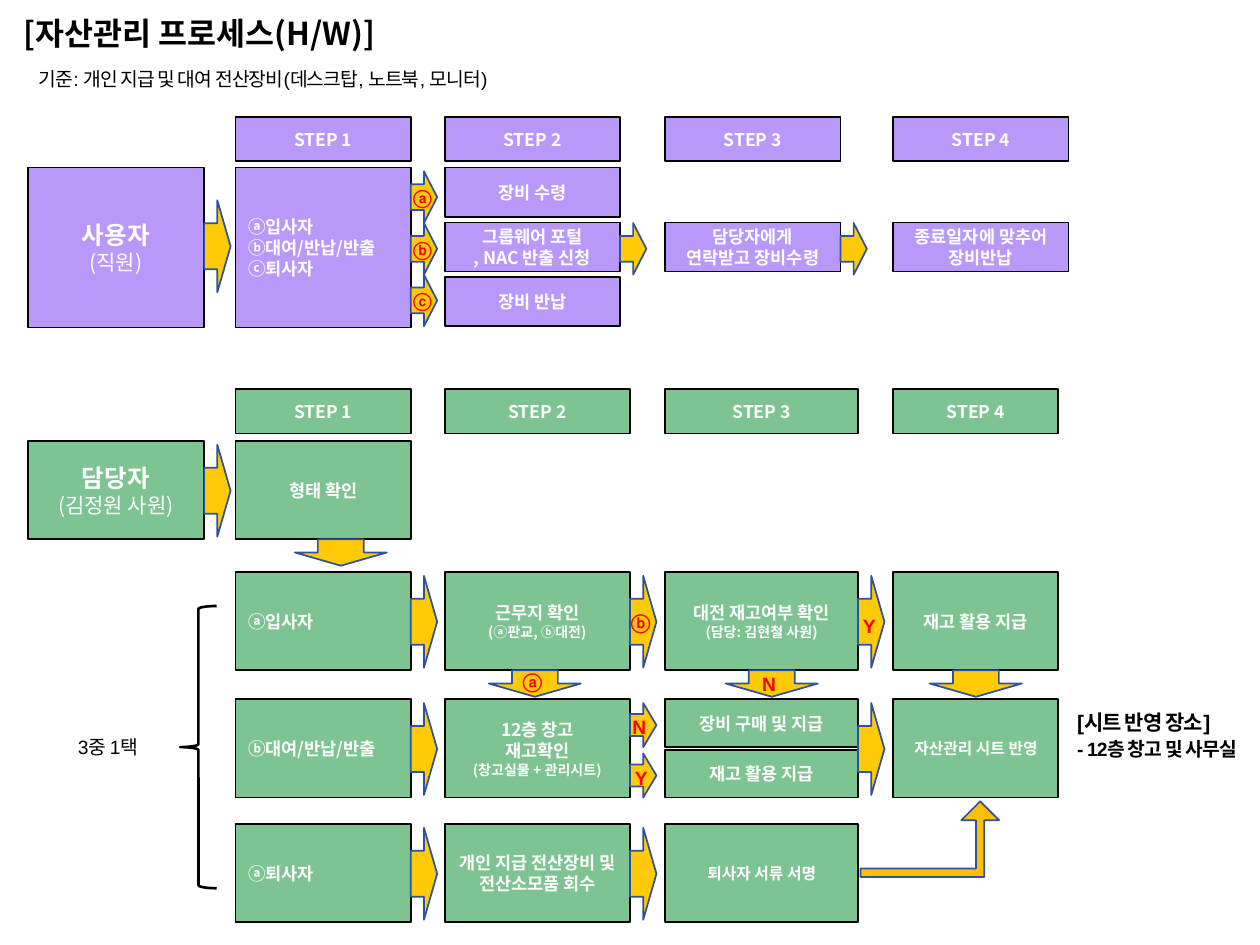
from pptx import Presentation
from pptx.dml.color import RGBColor
from pptx.enum.shapes import MSO_SHAPE as MS
from pptx.enum.text import MSO_ANCHOR as ANCHOR, MSO_AUTO_SIZE as FIT, PP_ALIGN as AL
from pptx.util import Inches, Pt
from lxml.etree import SubElement

CJK, LATIN = "Noto Sans CJK KR", "Arial"
PURPLE, GREEN, GOLD, NAVY = "B899FA", "7EC492", "FFCA08", "2F52A0"
hexc = RGBColor.from_string

# Grid in inches: column lefts, column widths per lane, row tops
X = [0.22, 1.87, 3.53, 5.28, 7.09]
W = {PURPLE: [1.4, 1.39, 1.39, 1.39, 1.39], GREEN: [1.4, 1.39, 1.47, 1.53, 1.31]}
HEAD = {PURPLE: 0.93, GREEN: 3.09}
USER = [1.33, 1.765, 2.2]
STAFF = [3.5, 4.54, 5.55, 6.54]
HEAD_H, USER_H, STAFF_H, HALF_H = 0.35, 0.39, 0.78, 0.38
GAP, ARROW_H = 0.21, 0.73

prs = Presentation()
prs.slide_width, prs.slide_height = Inches(10), Inches(7.5)
s = prs.slides.add_slide(prs.slide_layouts[6])


def write(sp, lines, font, color, align=AL.LEFT, spacing=None, spc=None):
    """Fill a shape with (text, size, bold) lines."""
    tf = sp.text_frame
    tf.word_wrap = True
    for i, (text, size, bold) in enumerate(lines):
        p = tf.paragraphs[0] if i == 0 else tf.add_paragraph()
        p.alignment = align
        if spacing:
            p.line_spacing = spacing
        r = p.add_run()
        r.text = text
        for key, value in {"name": font, "size": Pt(size), "bold": bold}.items():
            setattr(r.font, key, value)
        r.font.color.rgb = hexc(color)
        rpr = r.font._element
        ns = rpr.nsmap["a"]
        SubElement(rpr, f"{{{ns}}}ea", typeface=CJK)
        if spc:
            rpr.set("spc", str(spc))


def draw(kind, x, y, w, h, fill, line, width=1):
    sp = s.shapes.add_shape(kind, *map(Inches, (x, y, w, h)))
    sp.shadow.inherit = False
    if fill:
        sp.fill.solid()
        sp.fill.fore_color.rgb = hexc(fill)
    else:
        sp.fill.background()
    sp.line.color.rgb = hexc(line)
    sp.line.width = Pt(width)
    return sp


# Boxes: lane, column, top, height, alignment, lines
C, L = AL.CENTER, AL.LEFT
boxes = [(lane, n, HEAD[lane], HEAD_H, C, [(f"STEP {n}", 10, True)])
         for lane in (PURPLE, GREEN) for n in range(1, 5)]
boxes += [
    (PURPLE, 0, USER[0], 1.27, C, [("사용자", 14, True), ("(직원)", 12, False)]),
    (PURPLE, 1, USER[0], 1.27, L,
     [(t, 10, True) for t in ("ⓐ입사자", "ⓑ대여/반납/반출", "ⓒ퇴사자")]),
    (PURPLE, 2, USER[0], USER_H, C, [("장비 수령", 10, True)]),
    (PURPLE, 2, USER[1], USER_H, C, [("그룹웨어 포털", 10, True), (", NAC 반출 신청", 10, True)]),
    (PURPLE, 2, USER[2], USER_H, C, [("장비 반납", 10, True)]),
    (PURPLE, 3, USER[1], USER_H, C, [("담당자에게", 10, True), ("연락받고 장비수령", 10, True)]),
    (PURPLE, 4, USER[1], USER_H, C, [("종료일자에 맞추어 장비반납", 10, True)]),
    (GREEN, 0, STAFF[0], STAFF_H, C, [("담당자", 14, True), ("(김정원 사원)", 12, False)]),
    (GREEN, 1, STAFF[0], STAFF_H, C, [("형태 확인", 10, True)]),
    (GREEN, 1, STAFF[1], STAFF_H, L, [("ⓐ입사자", 10, True)]),
    (GREEN, 2, STAFF[1], STAFF_H, C, [("근무지 확인", 10, True), ("(ⓐ판교, ⓑ대전)", 8, True)]),
    (GREEN, 3, STAFF[1], STAFF_H, C, [("대전 재고여부 확인", 10, True), ("(담당: 김현철 사원)", 8, True)]),
    (GREEN, 4, STAFF[1], STAFF_H, C, [("재고 활용 지급", 10, True)]),
    (GREEN, 1, STAFF[2], STAFF_H, L, [("ⓑ대여/반납/반출", 10, True)]),
    (GREEN, 2, STAFF[2], STAFF_H, C,
     [("12층 창고", 10, True), ("재고확인", 10, True), ("(창고실물 + 관리시트)", 8, True)]),
    (GREEN, 3, STAFF[2], HALF_H, C, [("장비 구매 및 지급", 10, True)]),
    (GREEN, 3, STAFF[2] + 0.4, HALF_H, C, [("재고 활용 지급", 10, True)]),
    (GREEN, 4, STAFF[2], STAFF_H, C, [("자산관리 시트 반영", 9, True)]),
    (GREEN, 1, STAFF[3], STAFF_H, L, [("ⓐ퇴사자", 10, True)]),
    (GREEN, 2, STAFF[3], STAFF_H, C, [("개인 지급 전산장비 및 전산소모품 회수", 10, True)]),
    (GREEN, 3, STAFF[3], STAFF_H, C, [("퇴사자 서류 서명", 9, True)]),
]
for lane, col, top, height, align, lines in boxes:
    sp = draw(MS.RECTANGLE, X[col], top, W[lane][col], height, lane, "000000")
    sp.text_frame.vertical_anchor = ANCHOR.MIDDLE
    write(sp, lines, CJK, "FFFFFF", align)

# Arrows to the right: lane, column they leave, top, height
arrows = [(PURPLE, 0, 1.59, ARROW_H), (PURPLE, 2, 1.77, 0.41), (PURPLE, 3, 1.77, 0.41)]
arrows += [(PURPLE, 1, 1.36 + 0.41 * i, 0.41) for i in range(3)]
arrows += [(GREEN, col, STAFF[row] + 0.03, ARROW_H)
           for col, row in ((0, 0), (1, 1), (2, 1), (3, 1), (1, 2), (3, 2), (1, 3), (2, 3))]
arrows += [(GREEN, 2, top, 0.35) for top in (5.58, 5.98)]
for lane, col, top, height in arrows:
    draw(MS.RIGHT_ARROW, X[col] + W[lane][col], top, GAP, height, GOLD, NAVY)

# Arrows down to the next row
for x, top in ((2.6, 4.02), (4.14, 5.06), (6.02, 5.06), (7.64, 5.06)):
    draw(MS.RIGHT_ARROW, x, top, GAP, ARROW_H, GOLD, NAVY).rotation = 90

# Return arrow to the sheet, and the brace over the three cases
sp = draw(MS.BENT_UP_ARROW, 6.83, 6.36, 1.1, 0.6, "FFC000", NAVY)
for i, value in enumerate((0.11, 0.25, 0.25)):
    sp.adjustments[i] = value
draw(MS.LEFT_BRACE, 1.43, 4.81, 0.29, 2.24, None, "000000", 1.5)

# Free text: left, top, width, height, lines, font, colour, line spacing, tracking
texts = [
    (0.09, 0.06, 3.38, 0.4, [("[자산관리 프로세스(H/W)]", 18, True)], CJK, "000000", None, None),
    (0.21, 0.46, 4.24, 0.29, [("기준: 개인 지급 및 대여 전산장비(데스크탑, 노트북, 모니터)", 11, False)],
     LATIN, "000000", 1.14, -50),
    (0.52, 5.76, 0.94, 0.29, [("3중 1택", 11, False)], LATIN, "000000", 1.14, -50),
    (8.45, 5.55, 1.64, 0.52, [("[시트 반영 장소]", 12, True), ("- 12층 창고 및 사무실", 11, True)],
     LATIN, "000000", 1.14, -50),
]
texts += [(3.18, 1.42 + 0.41 * i, 0.4, 0.28, [(mark, 10.5, True)], LATIN, "FF0000", None, -50)
          for i, mark in enumerate("ⓐⓑⓒ")]
texts += [(x, y, 0.4, 0.29, [(mark, 11, True)], LATIN, "FF0000", 1.14, -50)
          for mark, x, y in (("ⓐ", 4.05, 5.23), ("ⓑ", 4.91, 4.76), ("Y", 6.75, 4.8),
                             ("N", 5.95, 5.26), ("N", 4.92, 5.6), ("Y", 4.94, 6.01))]
for x, y, w, h, lines, font, color, spacing, spc in texts:
    sp = s.shapes.add_textbox(*map(Inches, (x, y, w, h)))
    write(sp, lines, font, color, L, spacing, spc)
    sp.text_frame.auto_size = FIT.SHAPE_TO_FIT_TEXT

prs.save("out.pptx")
